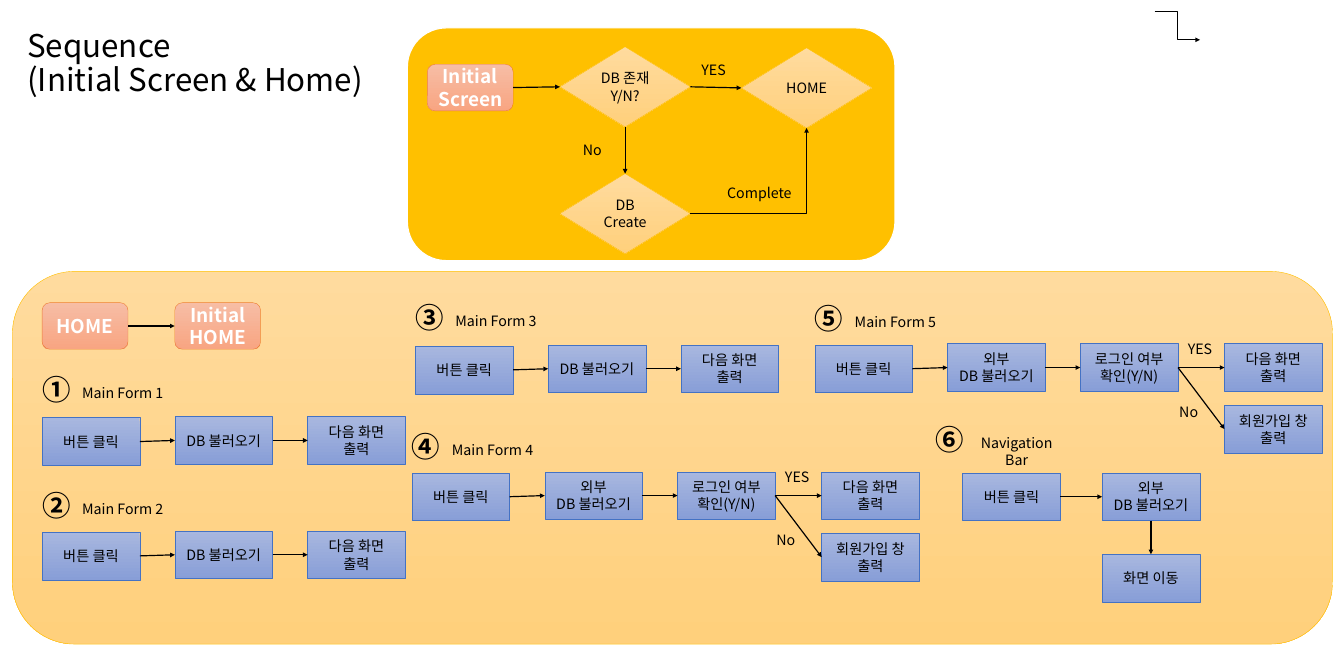
from lxml import etree
from pptx import Presentation
from pptx import util as u
from pptx.dml import color
from pptx.enum import shapes, text
from pptx.oxml import ns

FONT = "Noto Sans CJK KR"
SAND = ("FFDB9E", "FFD07C", "FFC000")
CORAL = ("F7BDA5", "F8A582", "ED7D31")
BLUE = ("A8B7DF", "889ED7", "4472C4")
START_SIZE = (108.7, 59)
DIAMOND_SIZE = (165, 101.5)
STEP_SIZE = (123.6, 60.4)
STEP_PITCH = 168
STEP_LIFT = 1.4
CLICK = "버튼 클릭"
LOAD = "DB 불러오기"
LOAD_OUTSIDE = "외부\nDB 불러오기"
SHOW_NEXT = "다음 화면\n출력"
CHECK_LOGIN = "로그인 여부\n확인(Y/N)"
SIGN_UP = "회원가입 창\n출력"
TOP, LEFT, BOTTOM, RIGHT = range(4)


def rgb(value):
    return color.RGBColor.from_string(value)


def write(shape, words, size, ink="000000", bold=False, align=text.PP_ALIGN.CENTER, spacing=None):
    frame = shape.text_frame
    frame.word_wrap = True
    frame.text = words
    for paragraph in frame.paragraphs:
        paragraph.alignment = align
        paragraph.line_spacing = spacing
        font = paragraph.font
        font.name, font.size, font.bold = FONT, u.Pt(size), bold
        font.color.rgb = rgb(ink)
        defaults = paragraph._p.pPr.find(ns.qn("a:defRPr"))
        latin = defaults.find(ns.qn("a:latin"))
        east_asian = etree.Element(ns.qn("a:ea"), typeface=FONT)
        latin.addnext(east_asian)


def add_box(slide, kind, left, top, size, palette, line_width=0.5):
    shape = slide.shapes.add_shape(kind, u.Pt(left), u.Pt(top), *map(u.Pt, size))
    shape.shadow.inherit = False
    start, end, edge = palette
    if start == end:
        shape.fill.solid()
        shape.fill.fore_color.rgb = rgb(start)
    else:
        shape.fill.gradient()
        shape.fill.gradient_angle = 270
        for stop, value in zip(shape.fill.gradient_stops, (start, end)):
            stop.color.rgb = rgb(value)
    shape.line.color.rgb = rgb(edge)
    shape.line.width = u.Pt(line_width)
    return shape


def add_start(slide, left, top, words):
    shape = add_box(slide, shapes.MSO_SHAPE.ROUNDED_RECTANGLE, left, top, START_SIZE, CORAL)
    write(shape, words, 24, "FFFFFF", True)
    return shape


def add_diamond(slide, left, top, words):
    shape = add_box(slide, shapes.MSO_SHAPE.DIAMOND, left, top, DIAMOND_SIZE, SAND)
    write(shape, words, 18)
    return shape


def add_step(slide, left, top, words):
    shape = add_box(slide, shapes.MSO_SHAPE.RECTANGLE, left, top, STEP_SIZE, BLUE)
    write(shape, words, 18)
    return shape


def add_label(slide, left, top, words, width=62):
    label = slide.shapes.add_textbox(u.Pt(left), u.Pt(top), u.Pt(width), u.Pt(29))
    write(label, words, 18)


def add_arrow(slide, kind, start=(0, 0), end=(0, 0)):
    arrow = slide.shapes.add_connector(kind, *map(u.Pt, start + end))
    arrow.line.color.rgb = rgb("000000")
    arrow.line.width = u.Pt(1.5)
    etree.SubElement(arrow.line._get_or_add_ln(), ns.qn("a:tailEnd"), type="triangle")
    etree.SubElement(arrow._element.spPr, ns.qn("a:effectLst"))
    return arrow


def join(slide, source, target, leave=RIGHT, enter=LEFT, kind=shapes.MSO_CONNECTOR.STRAIGHT):
    arrow = add_arrow(slide, kind)
    arrow.begin_connect(source, leave)
    arrow.end_connect(target, enter)
    return arrow


def add_title(slide, left, top, width, height):
    title = slide.shapes.add_textbox(*map(u.Pt, (left, top, width, height)))
    title.text_frame.vertical_anchor = text.MSO_ANCHOR.MIDDLE
    write(title, "Sequence\n(Initial Screen & Home)", 39.6, align=text.PP_ALIGN.LEFT, spacing=0.9)


def add_initial_panel(slide, left, top, width, height):
    add_box(slide, shapes.MSO_SHAPE.ROUNDED_RECTANGLE, left, top, (width, height),
            ("FFC000", "FFC000", "FFFFFF"), 1.5)
    start = add_start(slide, left + 25.2, top + 46, "Initial\nScreen")
    exists = add_diamond(slide, left + 193, top + 23.8, "DB 존재\nY/N?")
    home = add_diamond(slide, left + 422.6, top + 25.2, "HOME")
    create = add_diamond(slide, left + 193, top + 184.3, "DB\nCreate")
    join(slide, start, exists)
    join(slide, exists, home)
    join(slide, exists, create, BOTTOM, TOP)
    elbow = join(slide, create, home, RIGHT, BOTTOM, shapes.MSO_CONNECTOR.ELBOW)
    elbow._element.spPr.find(ns.qn("a:prstGeom")).set("prst", "bentConnector2")
    add_label(slide, left + 356.4, top + 38.2, "YES")
    add_label(slide, left + 203, top + 139.7, "No")
    add_label(slide, left + 397.4, top + 194.4, "Complete", 96)


def add_heading(slide, left, top, number, name):
    badge = slide.shapes.add_textbox(u.Pt(left), u.Pt(top), u.Pt(69), u.Pt(44))
    frame = badge.text_frame
    frame.margin_left = frame.margin_top = frame.margin_right = frame.margin_bottom = 0
    write(badge, number, 36, bold=True, align=text.PP_ALIGN.LEFT)
    add_label(slide, left + 36, top + 12, name, 132)


def add_form(slide, left, top, rise, number, name, steps):
    add_heading(slide, left, top - rise, number, name)
    previous = add_step(slide, left, top, CLICK)
    for index, words in enumerate(steps, 1):
        step = add_step(slide, left + index * STEP_PITCH, top - STEP_LIFT, words)
        join(slide, previous, step)
        previous = step
    return previous


def add_login_branch(slide, check, left, top):
    for words, drop in ((SHOW_NEXT, 0), (SIGN_UP, 77.8)):
        join(slide, check, add_step(slide, left, top + drop, words))
    add_label(slide, left - 62, top - 8, "YES")
    add_label(slide, left - 76.3, top + 72, "No")


def add_navigation(slide, left, top):
    add_heading(slide, left - 33.8, top - 64, "⑥", "Navigation Bar")
    click = add_step(slide, left, top, CLICK)
    load = add_step(slide, left + 176.4, top, LOAD_OUTSIDE)
    move = add_step(slide, left + 176.4, top + 103, "화면 이동")
    join(slide, click, load)
    join(slide, load, move, BOTTOM, TOP)


def add_home_panel(slide, left, top, width, height):
    add_box(slide, shapes.MSO_SHAPE.ROUNDED_RECTANGLE, left, top, (width, height), SAND)
    home = add_start(slide, left + 37.5, top + 39.6, "HOME")
    initial = add_start(slide, left + 205.3, top + 39.6, "Initial\nHOME")
    join(slide, home, initial)
    forms = (
        (37.5, 185.1, 57.6, "①", False),
        (37.5, 329.8, 55.4, "②", False),
        (509.8, 94.4, 58.4, "③", False),
        (505.5, 254.9, 55.4, "④", True),
        (1015.2, 92.9, 55.4, "⑤", True),
    )
    for index, (across, down, rise, number, login) in enumerate(forms, 1):
        steps = (LOAD_OUTSIDE, CHECK_LOGIN) if login else (LOAD, SHOW_NEXT)
        last = add_form(slide, left + across, top + down, rise, number, f"Main Form {index}", steps)
        if login:
            add_login_branch(slide, last, left + across + 518.4, top + down - STEP_LIFT)
    add_navigation(slide, left + 1202.4, top + 254.9)


def main():
    presentation = Presentation()
    presentation.slide_width = u.Pt(1700.64)
    presentation.slide_height = u.Pt(850.32)
    slide = presentation.slides.add_slide(presentation.slide_layouts[6])
    add_home_panel(slide, 15.8, 343.4, 1670.4, 471.6)
    add_initial_panel(slide, 515.5, 35.3, 617, 294.5)
    add_title(slide, 27.4, 8.6, 450, 146.2)
    add_arrow(slide, shapes.MSO_CONNECTOR.ELBOW, (1460.9, 14.4), (1518.5, 50.4))
    presentation.save("out.pptx")


if __name__ == "__main__":
    main()
